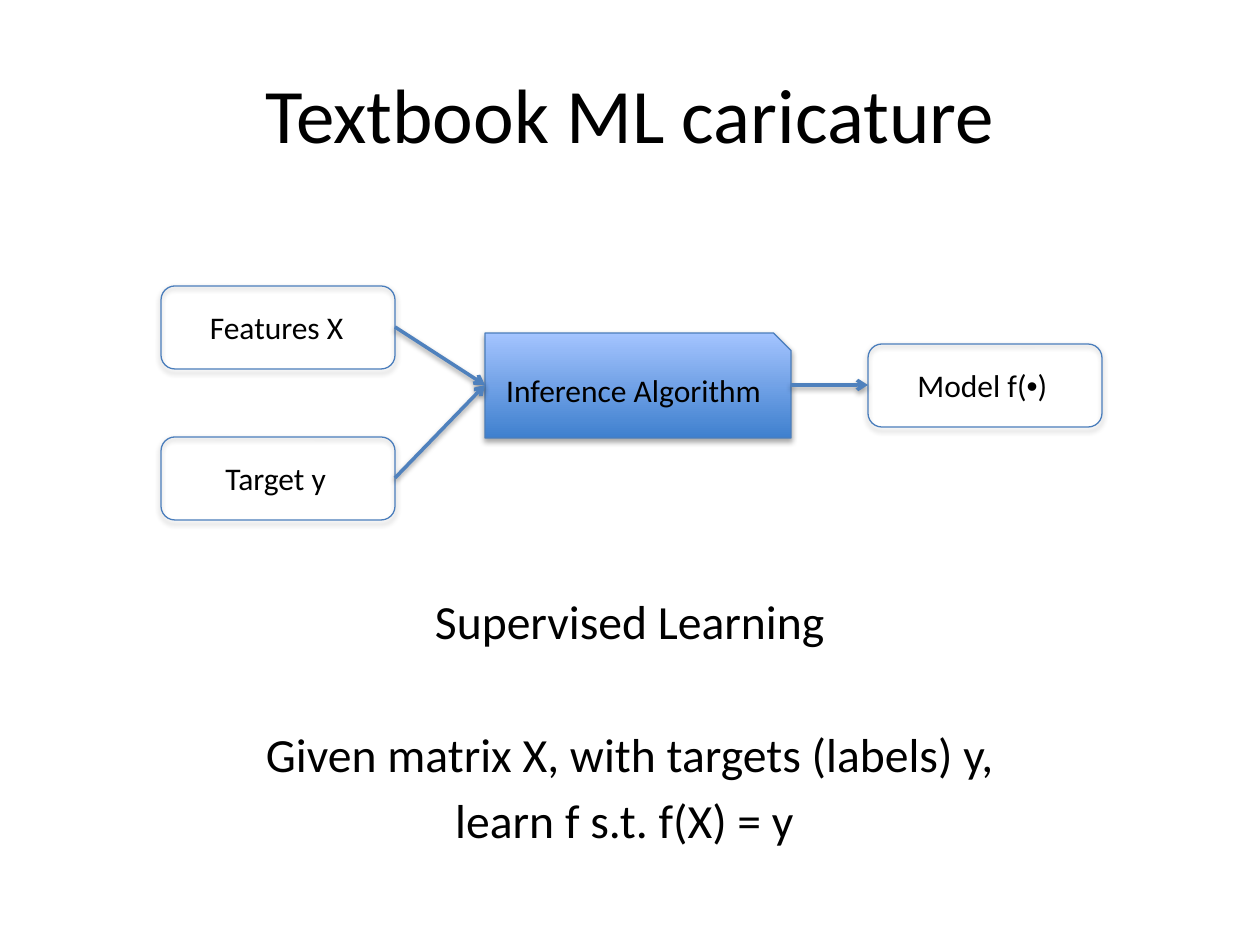
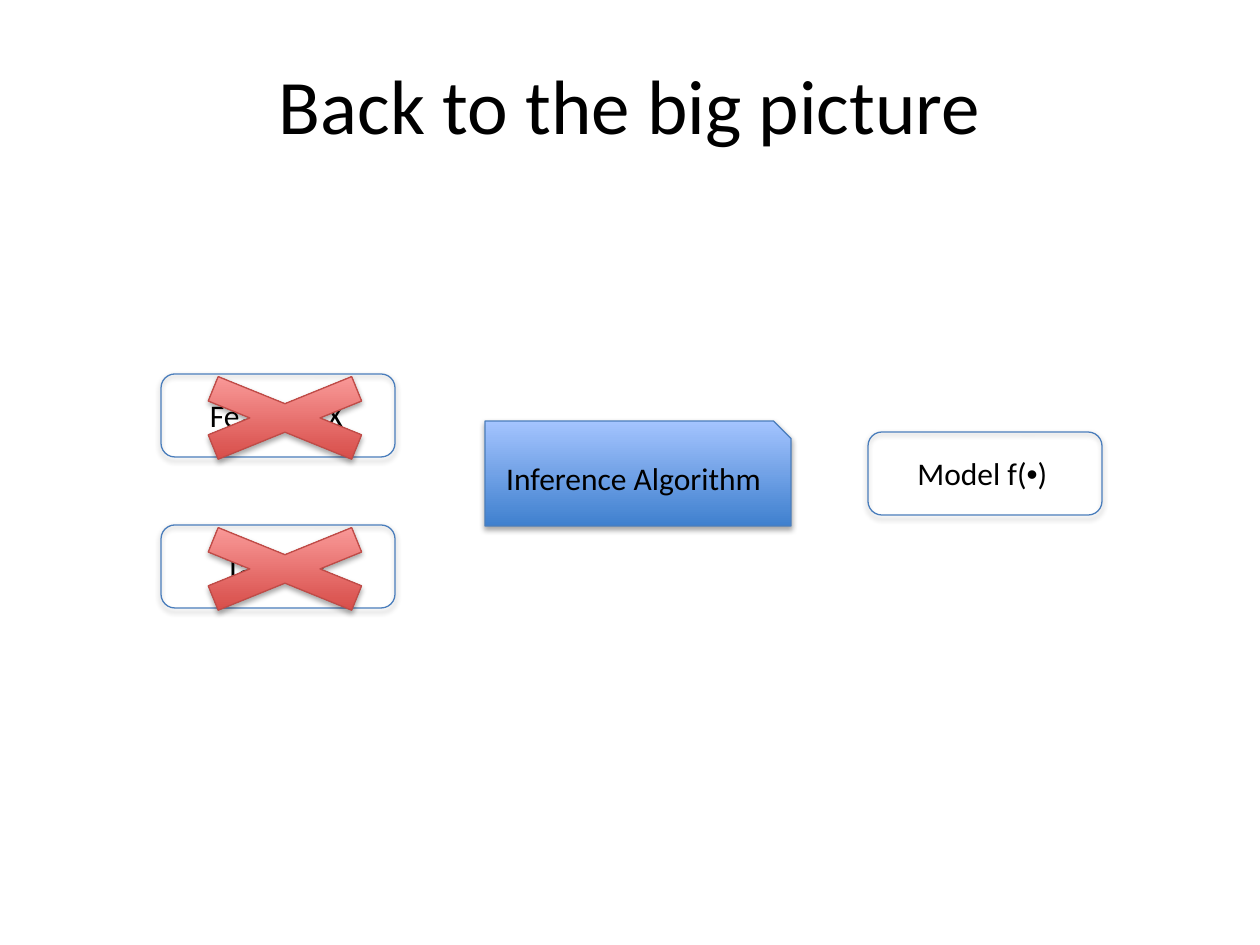
"""Build two slides about the textbook machine learning pipeline."""
from dataclasses import dataclass

import pptx
import pptx.dml.color
import pptx.enum.shapes
import pptx.enum.text
import pptx.oxml
import pptx.oxml.ns
import pptx.util

EMU_PER_PX = 914400 / 126
COLORS = {
    "text": "000000",
    "arrow": "4F81BD",
    "box_line": "4B7EBC",
    "blue_dark": "3F80CE",
    "blue_light": "A4C4FF",
    "cross_line": "BF4C48",
    "red_dark": "D1403C",
    "red_light": "FFA6A5",
}
FONT, BULLET_FONT = "Calibri", "Arial"
SHAPES = pptx.enum.shapes.MSO_SHAPE
CENTER = pptx.enum.text.PP_ALIGN.CENTER
BOX_W, BOX_H = 234, 83
LABEL_DY, LABEL_H = 16, 50
ALGORITHM = (485, 333, 306, 105)
CROSS_W, CROSS_H = 276, 112
CROSS_DX, CROSS_DY = 7, 3
SECOND_SLIDE_SHIFT = 88


@dataclass
class Box:
    left: int
    top: int
    runs: tuple[str, ...]
    label_width: int

    def center(self) -> tuple[int, int]:
        return self.left + BOX_W // 2, self.top + BOX_H // 2


FEATURES = Box(161, 286, ("Features X",), 161)
TARGET = Box(161, 437, ("Target y",), 130)
MODEL = Box(868, 344, ("Model f(", "•", ")"), 160)


def px(*lengths: float) -> list[int]:
    return [round(length * EMU_PER_PX) for length in lengths]


def rgb(name: str) -> pptx.dml.color.RGBColor:
    return pptx.dml.color.RGBColor.from_string(COLORS[name])


def set_font(p, size: float) -> None:
    p.font.name = FONT
    p.font.size = pptx.util.Pt(size)
    p.font.color.rgb = rgb("text")


def add_shadow(s, distance: int, opacity: int) -> None:
    s._element.spPr.append(pptx.oxml.parse_xml(
        f'<a:effectLst {pptx.oxml.ns.nsdecls("a")}>'
        f'<a:outerShdw blurRad="40000" dist="{distance}" dir="5400000" rotWithShape="0">'
        f'<a:srgbClr val="000000"><a:alpha val="{opacity * 1000}"/></a:srgbClr>'
        '</a:outerShdw></a:effectLst>'))


def add_panel(sp, kind, frame: tuple, line: str, gradient: tuple[str, ...] = ()):
    s = sp.add_shape(kind, *px(*frame))
    if gradient:
        s.fill.gradient()
        s.fill.gradient_angle = 90
        for stop, name in zip(s.fill.gradient_stops, gradient):
            stop.color.rgb = rgb(name)
    else:
        s.fill.background()
    s.line.color.rgb = rgb(line)
    s.line.width = pptx.util.Pt(0.75)
    add_shadow(s, 23000, 35)
    return s


def add_box(sp, box: Box, shift: int) -> None:
    top = box.top + shift
    add_panel(sp, SHAPES.ROUNDED_RECTANGLE, (box.left, top, BOX_W, BOX_H), "box_line")
    label_left = box.center()[0] - box.label_width / 2
    tf = sp.add_textbox(*px(label_left, top + LABEL_DY, box.label_width, LABEL_H)).text_frame
    tf.word_wrap = False
    tf.auto_size = pptx.enum.text.MSO_AUTO_SIZE.SHAPE_TO_FIT_TEXT
    p = tf.paragraphs[0]
    set_font(p, 18)
    for text in box.runs:
        r = p.add_run()
        r.text = text
        if text == "•":
            r.font.name = BULLET_FONT


def add_pipeline(sp, shift: int = 0) -> None:
    for box in (FEATURES, TARGET, MODEL):
        add_box(sp, box, shift)
    left, top, width, height = ALGORITHM
    s = add_panel(sp, SHAPES.SNIP_1_RECTANGLE, (left, top + shift, width, height),
                  "box_line", ("blue_dark", "blue_light"))
    tf = s.text_frame
    tf.vertical_anchor = pptx.enum.text.MSO_ANCHOR.MIDDLE
    p = tf.paragraphs[0]
    p.text = "Inference Algorithm"
    p.alignment = CENTER
    set_font(p, 18)


def add_arrow(sp, start: tuple[int, int], end: tuple[int, int]) -> None:
    s = sp.add_connector(pptx.enum.shapes.MSO_CONNECTOR.STRAIGHT, *px(*start, *end))
    s.line.color.rgb = rgb("arrow")
    s.line.width = pptx.util.Pt(2)
    s.line._get_or_add_ln().append(pptx.oxml.parse_xml(
        f'<a:tailEnd {pptx.oxml.ns.nsdecls("a")} type="arrow"/>'))
    add_shadow(s, 20000, 38)


def add_cross(sp, box: Box, shift: int) -> None:
    x, y = box.center()
    frame = (x + CROSS_DX - CROSS_W / 2, y + shift + CROSS_DY - CROSS_H / 2, CROSS_W, CROSS_H)
    add_panel(sp, SHAPES.MATH_MULTIPLY, frame, "cross_line", ("red_dark", "red_light"))


def fill_placeholder(s, frame: tuple, lines: list[str], size: float) -> list:
    s.left, s.top, s.width, s.height = px(*frame)
    tf = s.text_frame
    tf.text = "\n".join(lines)
    tf.auto_size = pptx.enum.text.MSO_AUTO_SIZE.NONE
    for p in tf.paragraphs:
        p.alignment = CENTER
        set_font(p, size)
    return list(tf.paragraphs)


def add_slide(prs, title: str, title_height: int):
    slide = prs.slides.add_slide(prs.slide_layouts[0])
    fill_placeholder(slide.shapes.title, (94.5, 43, 1071, title_height), [title], 44)
    return slide


def build_caricature(prs) -> None:
    slide = add_slide(prs, "Textbook ML caricature", 140)
    lines = ["Supervised Learning", "Given matrix X, with targets (labels) y,",
             "learn f s.t. f(X) = y "]
    paragraphs = fill_placeholder(slide.placeholders[1], (189, 586, 882, 229), lines, 27.2)
    paragraphs[1].space_before = pptx.util.Pt(43)
    sp = slide.shapes
    add_pipeline(sp)
    left, top, width, height = ALGORITHM
    middle = top + height // 2
    for box in (FEATURES, TARGET):
        add_arrow(sp, (box.left + BOX_W, box.center()[1]), (left, middle))
    add_arrow(sp, (left + width, middle), (MODEL.left, middle))


def build_big_picture(prs) -> None:
    slide = add_slide(prs, "Back to the big picture", 122)
    subtitle = slide.placeholders[1]._element
    subtitle.getparent().remove(subtitle)
    add_pipeline(slide.shapes, SECOND_SLIDE_SHIFT)
    for box in (FEATURES, TARGET):
        add_cross(slide.shapes, box, SECOND_SLIDE_SHIFT)


def main() -> None:
    prs = pptx.Presentation()
    prs.slide_width, prs.slide_height = px(1260, 945)
    build_caricature(prs)
    build_big_picture(prs)
    prs.save("out.pptx")


main()
